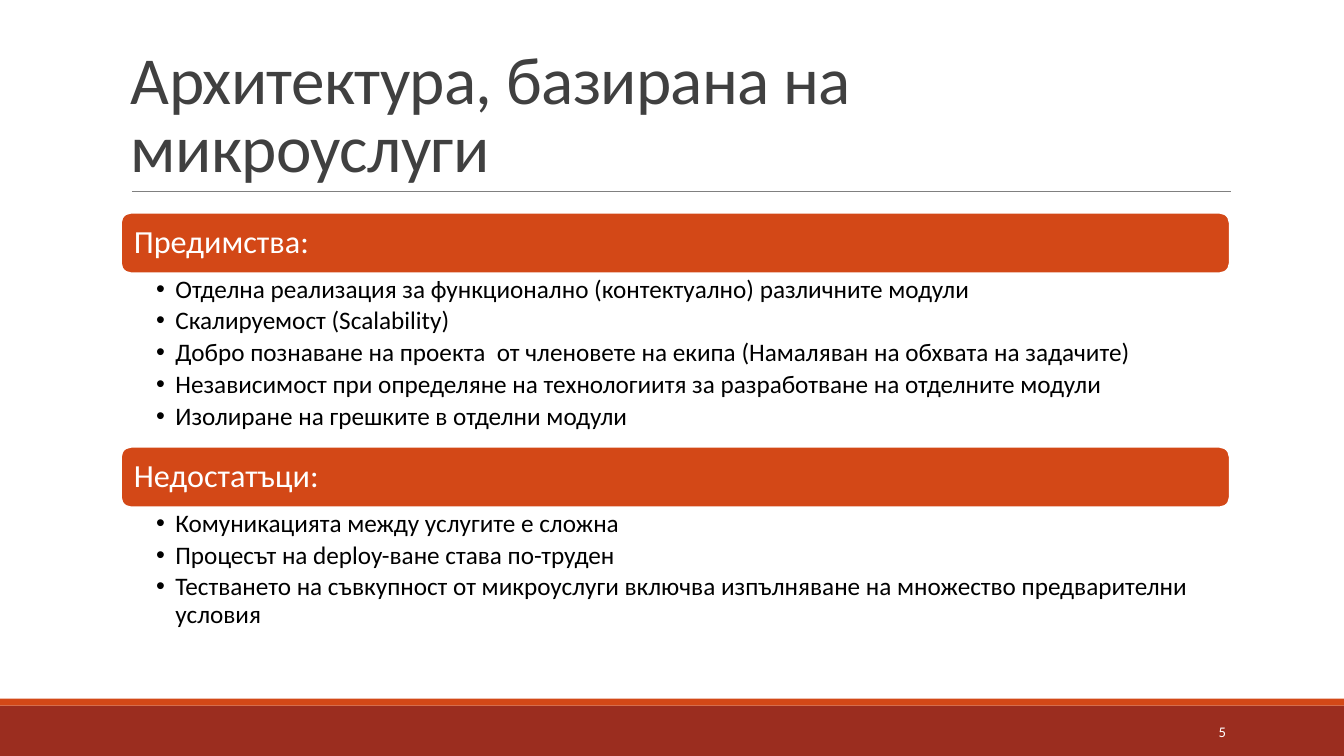
from pptx import Presentation
from pptx.dml.color import RGBColor
from pptx.enum.shapes import MSO_CONNECTOR, MSO_SHAPE
from pptx.enum.text import MSO_ANCHOR as ANCHOR, PP_ALIGN as ALIGN
from pptx.oxml.ns import qn
from pptx.util import Pt
from lxml.etree import SubElement

ORANGE = RGBColor(0xD3, 0x48, 0x17)
BRICK = RGBColor(0x9B, 0x2D, 0x1F)
GRAY = RGBColor(0x80, 0x80, 0x80)
CHARCOAL = RGBColor(0x40, 0x40, 0x40)
WHITE = RGBColor(0xFF, 0xFF, 0xFF)
BLACK = RGBColor(0, 0, 0)

LEFT, WIDTH = 86.4, 792
HEADING_HEIGHT = 43.2
SECTIONS = [
    ("Предимства:", 124, [
        "Отделна реализация за функционално (контектуално) различните модули",
        "Скалируемост (Scalability)",
        "Добро познаване на проекта  от членовете на екипа (Намаляван на обхвата на задачите)",
        "Независимост при определяне на технологиитя за разработване на отделните модули",
        "Изолиране на грешките в отделни модули",
    ]),
    ("Недостатъци:", 93.6, [
        "Комуникацията между услугите е сложна",
        "Процесът на deploy-ване става по-труден",
        "Тестването на съвкупност от микроуслуги включва изпълняване на множество предварителни условия",
    ]),
]


def setup_frame(shape, anchor, left, top, right, bottom):
    frame = shape.text_frame
    frame.word_wrap = True
    frame.vertical_anchor = anchor
    frame.margin_left, frame.margin_top = Pt(left), Pt(top)
    frame.margin_right, frame.margin_bottom = Pt(right), Pt(bottom)
    return frame


def write(paragraph, text, size, color, spacing=1.0, align=ALIGN.LEFT):
    paragraph.text = text
    paragraph.alignment = align
    paragraph.line_spacing = spacing
    font = paragraph.runs[0].font
    font.name, font.size = "Calibri", Pt(size)
    font.color.rgb = color


prs = Presentation()
prs.slide_width, prs.slide_height = Pt(960), Pt(540)
slide = prs.slides.add_slide(prs.slide_layouts[6])
shapes = slide.shapes

for top, height, color in [(504, 36, BRICK), (499, 5, ORANGE)]:
    band = shapes.add_shape(MSO_SHAPE.RECTANGLE, 0, Pt(top), Pt(960), Pt(height))
    band.shadow.inherit = False
    band.fill.solid()
    band.fill.fore_color.rgb = color
    band.line.fill.background()

title_rule = shapes.add_connector(
    MSO_CONNECTOR.STRAIGHT, Pt(94.3), Pt(136.8), Pt(879), Pt(136.8))
title_rule.line.color.rgb = GRAY
title_rule.line.width = Pt(0.5)
SubElement(title_rule._element.spPr, qn("a:effectLst"))

title = shapes.add_textbox(Pt(LEFT), Pt(22.3), Pt(WIDTH), Pt(114.5))
title_line = setup_frame(title, ANCHOR.BOTTOM, 7.2, 3.6, 14.4, 3.6).paragraphs[0]
write(title_line, "Архитектура, базирана на микроуслуги", 48, CHARCOAL, 0.85)
title_line.runs[0].font._element.set("spc", "-50")

top = 152
for heading, body_height, points in SECTIONS:
    bar = shapes.add_shape(MSO_SHAPE.ROUNDED_RECTANGLE,
                           Pt(LEFT), Pt(top), Pt(WIDTH), Pt(HEADING_HEIGHT))
    bar.shadow.inherit = False
    bar.fill.solid()
    bar.fill.fore_color.rgb = ORANGE
    bar.line.color.rgb = WHITE
    bar.line.width = Pt(1.25)
    bar_frame = setup_frame(bar, ANCHOR.MIDDLE, 7.2, 7.2, 7.2, 7.2)
    write(bar_frame.paragraphs[0], heading, 23, WHITE, 0.9)
    top += HEADING_HEIGHT

    body = shapes.add_textbox(Pt(LEFT), Pt(top), Pt(WIDTH), Pt(body_height))
    body_frame = setup_frame(body, ANCHOR.TOP, 25.2, 2.2, 13, 2.2)
    body_frame.text = "\n".join(points)
    for paragraph, point in zip(body_frame.paragraphs, points):
        paragraph.level = 1
        properties = paragraph._p.get_or_add_pPr()
        properties.set("marL", str(Pt(13.7)))
        properties.set("indent", str(-Pt(13.7)))
        SubElement(properties, qn("a:buFont"), typeface="Arial")
        SubElement(properties, qn("a:buChar"), char="•")
        write(paragraph, point, 18, BLACK, 0.9)
        paragraph.space_after = Pt(3.3)
    top += body_height

page_number = shapes.add_textbox(Pt(779.8), Pt(508.3), Pt(103), Pt(28.8))
number_frame = setup_frame(page_number, ANCHOR.MIDDLE, 7.2, 3.6, 7.2, 3.6)
write(number_frame.paragraphs[0], "5", 10.5, WHITE, align=ALIGN.RIGHT)

prs.save("out.pptx")
